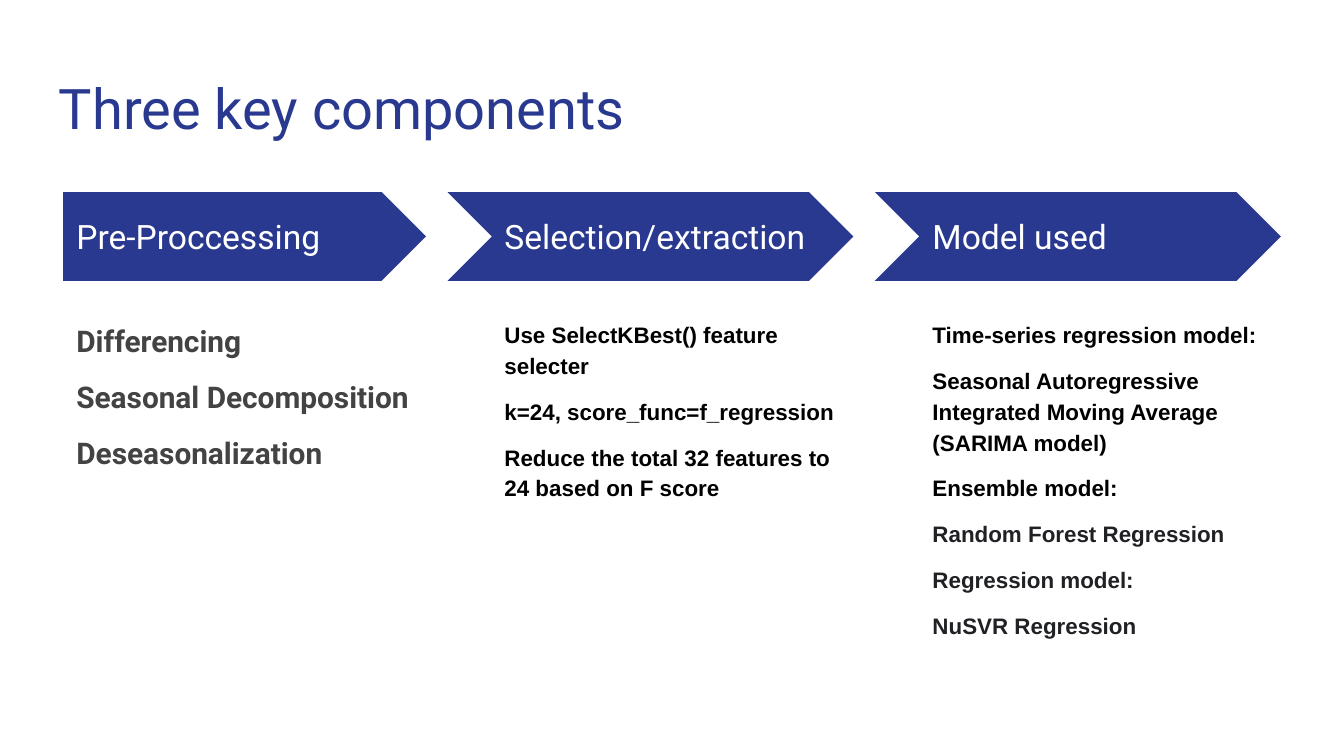
from pptx import Presentation
from pptx import util as u
from pptx.dml.color import RGBColor
from pptx.enum import shapes, text

COLORS = {"navy": "2A3990", "white": "FFFFFF", "gray": "434343",
          "black": "000000", "ink": "202124"}

# Grid, in inches: three columns, a band of arrows and a body row
SLIDE_W = 10
SLIDE_H = SLIDE_W * 9 / 16
LEFT, RIGHT, COL_W = 0.47, 9.54, 2.7
STEP = (RIGHT - LEFT - COL_W) / 2
BAND_Y, BAND_H = 1.43, 0.66
LABEL_Y, LABEL_W, LABEL_H = 1.59, 2.47, 0.34
BODY_Y, BODY_H = 2.26, 2.9
ARROW_GAP, CHEVRON_W = 0.16, 3.02

HEADING = {"name": "Roboto", "size": u.Pt(18), "bold": False}
STEPS = {"name": "Roboto", "size": u.Pt(16), "bold": True}
DETAILS = {"name": "Arial", "size": u.Pt(12), "bold": True}

# Heading, body font, and body paragraphs with their colours
columns = [
    ("Pre-Proccessing", STEPS, [
        ("Differencing", "gray"),
        ("Seasonal Decomposition", "gray"),
        ("Deseasonalization", "gray")]),
    ("Selection/extraction", DETAILS, [
        ("Use SelectKBest() feature selecter", "black"),
        ("k=24, score_func=f_regression", "black"),
        ("Reduce the total 32 features to 24 based on F score", "black")]),
    ("Model used", DETAILS, [
        ("Time-series regression model:", "black"),
        ("Seasonal Autoregressive Integrated Moving Average (SARIMA model)", "black"),
        ("Ensemble model:", "black"),
        ("Random Forest Regression", "ink"),
        ("Regression model:", "ink"),
        ("NuSVR Regression", "ink")]),
]

prs = Presentation()
prs.slide_width, prs.slide_height = u.Inches(SLIDE_W), u.Inches(SLIDE_H)
slide = prs.slides.add_slide(prs.slide_layouts[6])


def add_text(box, paragraphs, font, anchor=text.MSO_ANCHOR.TOP, spacing=1.0):
    """Add a text box; paragraphs are (words, colour name) pairs."""
    tf = slide.shapes.add_textbox(*map(u.Inches, box)).text_frame
    frame = {"word_wrap": True, "vertical_anchor": anchor}
    frame.update({f"margin_{side}": u.Inches(0.1)
                  for side in ("left", "top", "right", "bottom")})
    for key, value in frame.items():
        setattr(tf, key, value)
    for i, (words, color) in enumerate(paragraphs):
        p = tf.add_paragraph() if i else tf.paragraphs[0]
        p.line_spacing = spacing
        p.space_before = u.Pt(8 if i else 0)
        r = p.add_run()
        r.text = words
        for key, value in font.items():
            setattr(r.font, key, value)
        r.font.color.rgb = RGBColor.from_string(COLORS[color])


add_text((0.34, 0.45, 9.32, 0.66), [("Three key components", "navy")],
         {**HEADING, "size": u.Pt(30)})

arrow_x = LEFT
for i, (heading, body_font, body) in enumerate(columns):
    x = LEFT + i * STEP
    kind, arrow_w = ((shapes.MSO_SHAPE.CHEVRON, CHEVRON_W) if i
                     else (shapes.MSO_SHAPE.PENTAGON, COL_W))
    sp = slide.shapes.add_shape(
        kind, *map(u.Inches, (arrow_x, BAND_Y, arrow_w, BAND_H)))
    sp.adjustments[0] = 0.5
    sp.shadow.inherit = False
    sp.fill.solid()
    sp.fill.fore_color.rgb = RGBColor.from_string(COLORS["navy"])
    sp.line.fill.background()
    arrow_x += arrow_w + ARROW_GAP

    add_text((x, LABEL_Y, LABEL_W, LABEL_H), [(heading, "white")], HEADING,
             anchor=text.MSO_ANCHOR.MIDDLE)
    add_text((x, BODY_Y, COL_W, BODY_H), body, body_font, spacing=1.15)

prs.save("out.pptx")
